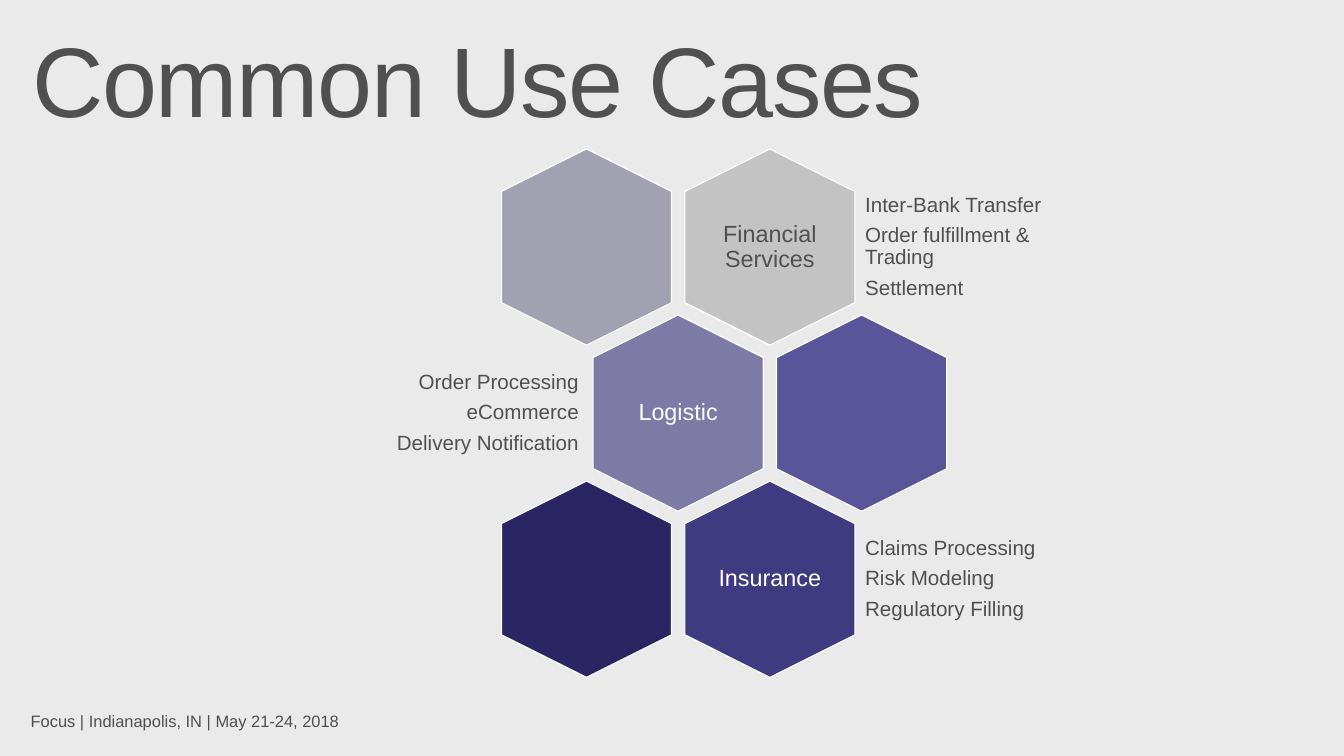
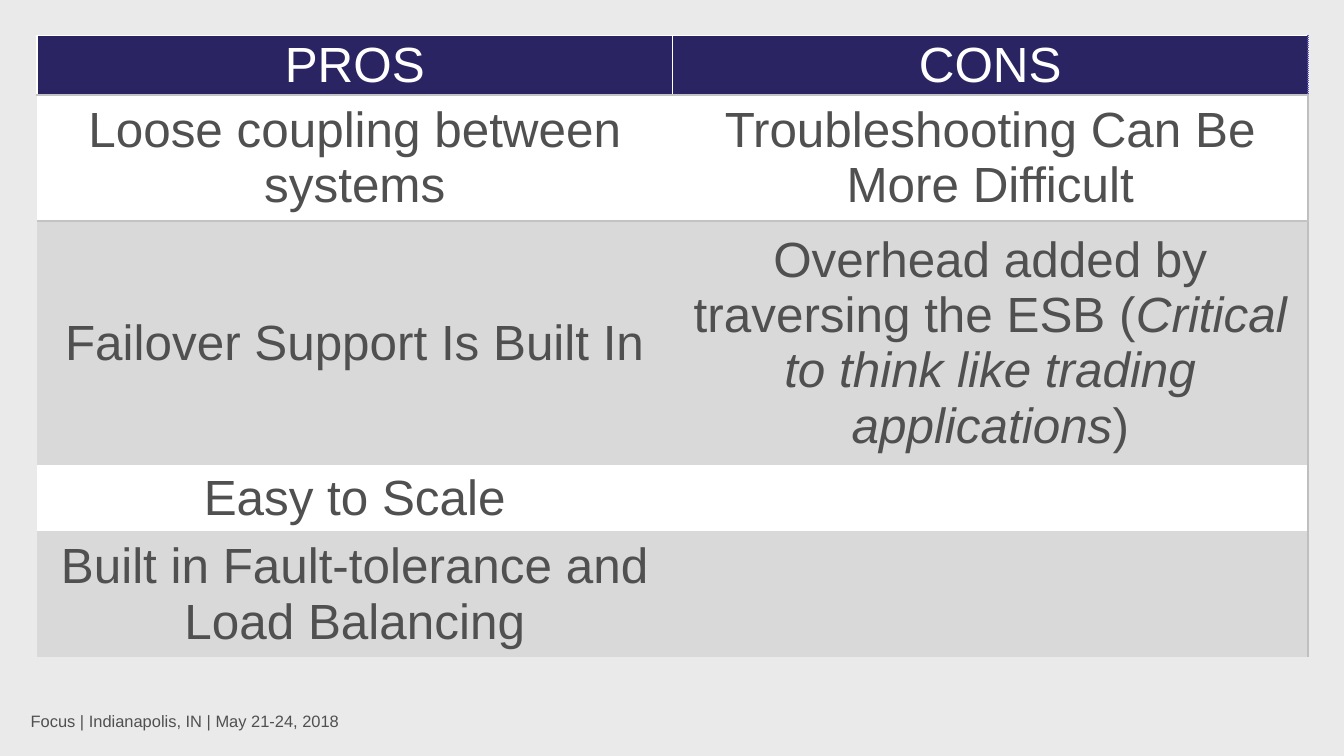
from dataclasses import dataclass
from typing import NamedTuple

from lxml.etree import SubElement
from pptx import Presentation
from pptx.dml.color import RGBColor as RGB
from pptx.enum.shapes import MSO_SHAPE as Shape
from pptx.enum.text import MSO_ANCHOR as Anchor, MSO_AUTO_SIZE as Fit, PP_ALIGN as Align
from pptx.oxml.ns import qn
from pptx.util import Pt

FONT = "Arial"
BACK = RGB(0xEA, 0xEA, 0xEA)
INK = RGB(0x50, 0x50, 0x50)
WHITE = RGB(0xFF, 0xFF, 0xFF)
NAVY = RGB(0x2B, 0x24, 0x63)
INDIGO = RGB(0x40, 0x3A, 0x80)
VIOLET = RGB(0x5A, 0x55, 0x98)
MAUVE = RGB(0x7D, 0x7B, 0xA6)
HAZE = RGB(0xA2, 0xA1, 0xB2)
SILVER = RGB(0xC3, 0xC3, 0xC4)
BAND = RGB(0xD9, 0xD9, 0xD9)
RULE = RGB(0xBF, 0xBF, 0xBF)
DOTS = RGB(0x66, 0x5A, 0xC3)

FOOTER = "Focus | Indianapolis, IN | May 21-24, 2018"
NO_GRID = "{2D5ABB26-0587-4C30-8999-92F81FD0307C}"

# Honeycomb, in points: each column step is half a cell
HEX_LONG, HEX_WIDE = 143, 124
HEX_LEFT, HEX_TOP = 427.3, 180
STEP_X, STEP_Y = 66.8, 121
LABEL_W, LABEL_H = 85, 98
NOTE_H = 86


class Box(NamedTuple):
    left: float
    top: float
    width: float
    height: float

    def points(self) -> list[Pt]:
        return [Pt(side) for side in self]


class Edge(NamedTuple):
    side: str
    color: RGB
    width: float = 1
    dash: str = "solid"


@dataclass(frozen=True)
class Hex:
    col: int
    row: int
    fill: RGB
    label: str = ""
    ink: RGB = WHITE
    notes: tuple[str, ...] = ()
    align: Align = Align.LEFT


HEXES = [
    Hex(2, 0, SILVER, "Financial Services", INK,
        ("Inter-Bank Transfer", "Order fulfillment & Trading", "Settlement")),
    Hex(0, 0, HAZE),
    Hex(1, 1, MAUVE, "Logistic", WHITE,
        ("Order Processing", "eCommerce", "Delivery Notification"), Align.RIGHT),
    Hex(3, 1, VIOLET),
    Hex(2, 2, INDIGO, "Insurance", WHITE,
        ("Claims Processing", "Risk Modeling", "Regulatory Filling")),
    Hex(0, 2, NAVY),
]

# Asterisks enclose italic words
ROWS = [
    (43, "PROS", "CONS"),
    (92, "Loose coupling between systems", "Troubleshooting Can Be More Difficult"),
    (178, "Failover Support Is Built In",
     "Overhead added by traversing the ESB (*Critical to think like trading applications*)"),
    (48, "Easy to Scale", ""),
    (92, "Built in Fault-tolerance and Load Balancing", ""),
]


def style(para, size: float, color: RGB, align: Align) -> None:
    para.alignment = align
    para.font.name = FONT
    para.font.size = Pt(size)
    para.font.color.rgb = color


def write(frame, lines, size: float, color: RGB, align=Align.LEFT,
          anchor=Anchor.MIDDLE, pad=(5, 5), after: float = 6) -> None:
    """Fill a text frame, one paragraph a line; pad is sideways, then upright."""
    frame.word_wrap = True
    frame.auto_size = Fit.NONE
    frame.vertical_anchor = anchor
    frame.margin_left = frame.margin_right = Pt(pad[0])
    frame.margin_top = frame.margin_bottom = Pt(pad[1])
    for i, line in enumerate(lines):
        para = frame.add_paragraph() if i else frame.paragraphs[0]
        para.add_run().text = line
        para.line_spacing = 0.9
        para.space_after = Pt(after)
        style(para, size, color, align)


def add_text(slide, box: Box, lines, size: float, color: RGB, **opts):
    shape = slide.shapes.add_textbox(*box.points())
    write(shape.text_frame, lines, size, color, **opts)
    return shape


def set_master(deck, slide) -> None:
    """Give the master the background and the footer, built on a slide first."""
    master = deck.slide_master
    fill = master.background.fill
    fill.solid()
    fill.fore_color.rgb = BACK
    foot = add_text(slide, Box(8, 508, 598, 36), [FOOTER], 12, INK,
                    anchor=Anchor.TOP, pad=(14.4, 11.5))._element
    foot.nvSpPr.cNvPr.set("id", "20")
    master.shapes._spTree.append(foot)


def set_title(slide, text: str) -> None:
    title = slide.shapes.title
    title.left, title.top, title.width, title.height = Box(12, 16, 936, 93).points()
    write(title.text_frame, [text], 72, INK, anchor=Anchor.TOP, pad=(11.5, 7.2), after=0)
    title.text_frame.paragraphs[0].runs[0]._r.get_or_add_rPr().set("spc", "-100")


def draw_hex(slide, cell: Hex) -> None:
    mid_x = HEX_LEFT + cell.col * STEP_X
    mid_y = HEX_TOP + cell.row * STEP_Y

    def centre(width: float, height: float) -> Box:
        return Box(mid_x - width / 2, mid_y - height / 2, width, height)

    shape = slide.shapes.add_shape(Shape.HEXAGON, *centre(HEX_LONG, HEX_WIDE).points())
    shape.rotation = 90
    shape.shadow.inherit = False
    shape.fill.solid()
    shape.fill.fore_color.rgb = cell.fill
    shape.line.color.rgb = WHITE
    shape.line.width = Pt(0.85)
    if cell.label:
        add_text(slide, centre(LABEL_W, LABEL_H), [cell.label], 17, cell.ink,
                 align=Align.CENTER)
    if cell.notes:
        left, width = (273, 153) if cell.align == Align.RIGHT else (626, 159)
        add_text(slide, Box(left, mid_y - NOTE_H / 2, width, NOTE_H), cell.notes,
                 15, INK, align=cell.align, pad=(4.3, 4.3))


def find_edges(row: int, col: int) -> list[Edge]:
    """List a cell's borders in the order the file format asks for."""
    if row == 0:
        right = Edge("R", DOTS, dash="sysDot") if col else Edge("R", WHITE)
        return [Edge("L", WHITE), right, Edge("T", WHITE), Edge("B", SILVER, 1.5)]
    edges = [Edge("R", RULE)] if col else []
    if row == 1:
        edges.append(Edge("T", SILVER, 1.5))
    return edges


def add_edge(cell, edge: Edge) -> None:
    line = SubElement(cell._tc.get_or_add_tcPr(), qn(f"a:ln{edge.side}"),
                      w=str(Pt(edge.width)))
    fill = SubElement(line, qn("a:solidFill"))
    SubElement(fill, qn("a:srgbClr"), val=str(edge.color))
    SubElement(line, qn("a:prstDash"), val=edge.dash)


def fill_cell(cell, row: int, col: int, text: str) -> None:
    for edge in find_edges(row, col):
        add_edge(cell, edge)
    cell.fill.solid()
    cell.fill.fore_color.rgb = (WHITE if row % 2 else BAND) if row else NAVY
    cell.vertical_anchor = Anchor.MIDDLE
    cell.margin_left = cell.margin_right = Pt(5)
    cell.margin_top = cell.margin_bottom = Pt(3 if row else 0)
    if not text:
        return
    para = cell.text_frame.paragraphs[0]
    for i, part in enumerate(text.split("*")):
        run = para.add_run()
        run.text = part
        if i % 2:
            run.font.italic = True
    style(para, 36, INK if row else WHITE, Align.CENTER)


def draw_table(slide) -> None:
    high = sum(row[0] for row in ROWS)
    table = slide.shapes.add_table(len(ROWS), 2, *Box(27, 26, 926, high).points()).table
    table.horz_banding = False
    table._tbl.tblPr.find(qn("a:tableStyleId")).text = NO_GRID
    for r, (height, *texts) in enumerate(ROWS):
        table.rows[r].height = Pt(height)
        for c, text in enumerate(texts):
            fill_cell(table.cell(r, c), r, c, text)


def main() -> None:
    deck = Presentation()
    deck.slide_width, deck.slide_height = Pt(979.2), Pt(550.8)
    title_only, blank = deck.slide_layouts[5], deck.slide_layouts[6]

    cases = deck.slides.add_slide(title_only)
    set_master(deck, cases)
    set_title(cases, "Common Use Cases")
    for cell in HEXES:
        draw_hex(cases, cell)

    draw_table(deck.slides.add_slide(blank))
    deck.save("out.pptx")


if __name__ == "__main__":
    main()
